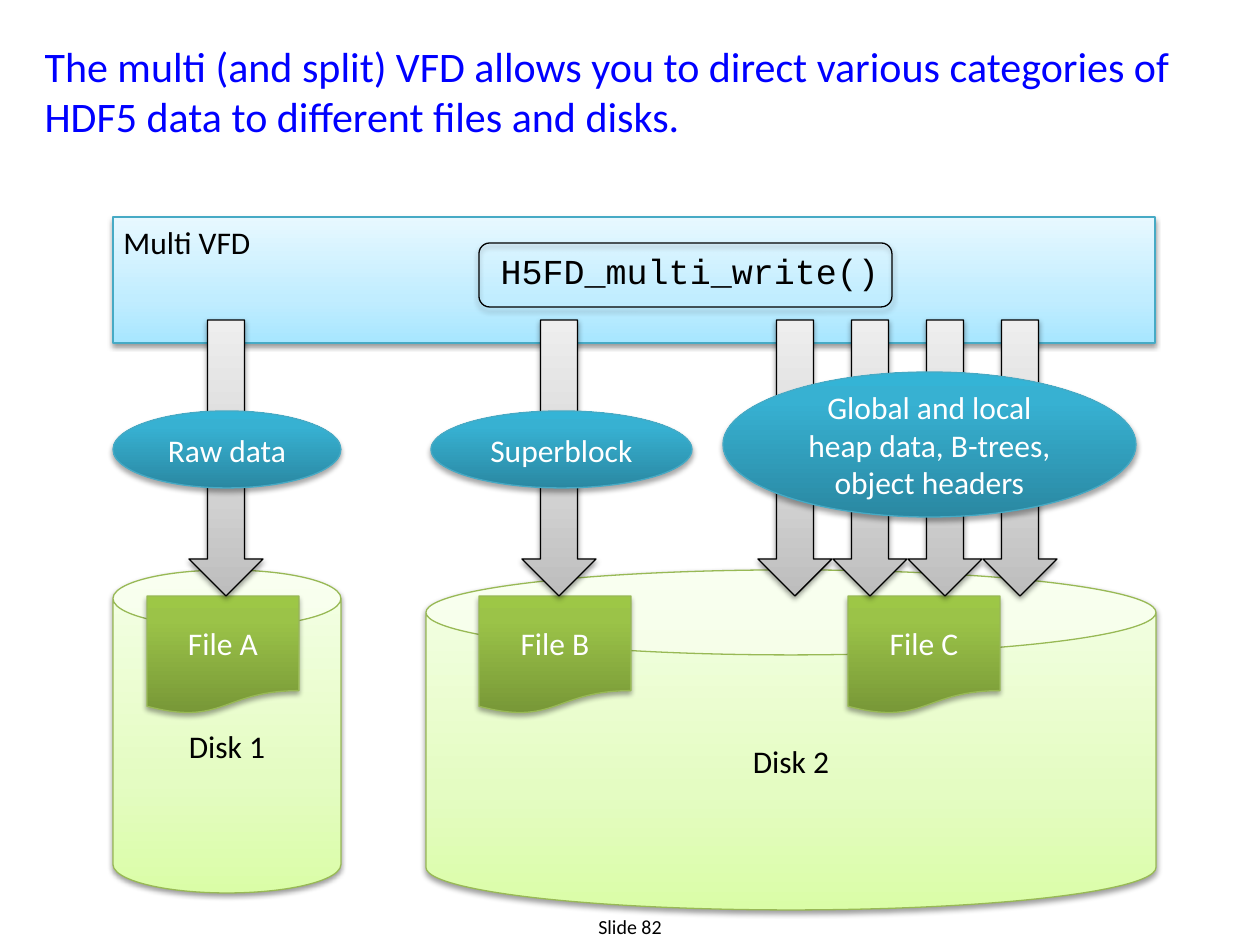
from copy import deepcopy

from lxml.etree import SubElement
from pptx import Presentation
from pptx.dml.color import RGBColor
from pptx.enum.shapes import MSO_SHAPE
from pptx.enum.text import MSO_ANCHOR, MSO_AUTO_SIZE, PP_ALIGN
from pptx.oxml.ns import qn
from pptx.util import Emu, Pt

PX = 914400 / 126
COLORS = {"title": "0000FF", "dark": "000000", "light": "FFFFFF",
          "green": "98B955", "blue": "46AAC5"}
# Stops run from the bottom of a shape to its top.
GRADIENTS = {
    "disk": ((0, "DAFDA7"), (35, "E4FCC2"), (100, "F5FFE7")),
    "driver": ((0, "A7E6FF"), (35, "C1EDFF"), (100, "E7F8FF")),
    "file": ((0, "779737"), (80, "9BC348"), (100, "9DC746")),
    "arrow": ((0, "BDBDBD"), (35, "D1D1D1"), (100, "EEEEEE")),
    "data": ((0, "2A88A2"), (80, "37B1D2"), (100, "34B4D6")),
}
ARROW_WIDTH = 75


def emu(*lengths):
    return [Emu(round(length * PX)) for length in lengths]


def rgb(name):
    return RGBColor.from_string(COLORS[name])


def fill_gradient(shape, stops):
    shape.fill.gradient()
    shape.fill.gradient_angle = 90
    first = shape.fill._fill._gradFill.find(qn("a:gsLst"))[0]
    first.addnext(deepcopy(first))
    for stop, (position, color) in zip(shape.fill.gradient_stops, stops):
        stop.position = position / 100
        stop.color.rgb = RGBColor.from_string(color)


def add_shadow(shape, alpha, distance):
    shape.shadow.inherit = False
    effects = shape._element.spPr.find(qn("a:effectLst"))
    shadow = SubElement(effects, qn("a:outerShdw"), blurRad=str(Pt(3.1)),
                        dist=str(Pt(distance)), dir="5400000", rotWithShape="0")
    color = SubElement(shadow, qn("a:srgbClr"), val=COLORS["dark"])
    SubElement(color, qn("a:alpha"), val=str(alpha * 1000))


def set_text(shape, text, size=18, color="dark", font="Calibri",
             align=PP_ALIGN.CENTER, anchor=MSO_ANCHOR.MIDDLE):
    frame = shape.text_frame
    frame.word_wrap = True
    frame.vertical_anchor = anchor
    para = frame.paragraphs[0]
    para.text = text
    para.alignment = align
    para.font.name = font
    para.font.size = Pt(size)
    para.font.color.rgb = rgb(color)
    return para


def add_block(page, kind, box, line, gradient=None, text=None, color="light",
              strong=False):
    shape = page.shapes.add_shape(kind, *emu(*box))
    if gradient:
        fill_gradient(shape, GRADIENTS[gradient])
    else:
        shape.fill.background()
    shape.line.color.rgb = rgb(line)
    shape.line.width = Pt(0.75)
    add_shadow(shape, *((35, 1.8) if strong else (38, 1.6)))
    if text:
        set_text(shape, text, color=color)


def add_label(page, box, text, **style):
    label = page.shapes.add_textbox(*emu(*box))
    return set_text(label, text, anchor=MSO_ANCHOR.TOP, **style)


def add_title(page, box, text):
    title = page.shapes.title
    title.left, title.top, title.width, title.height = emu(*box)
    set_text(title, text, size=24, color="title", align=PP_ALIGN.LEFT,
             anchor=MSO_ANCHOR.TOP)
    title.text_frame.auto_size = MSO_AUTO_SIZE.NONE


def add_driver(page, box, name, call):
    left, top, width, height = box
    add_block(page, MSO_SHAPE.RECTANGLE, box, "blue", "driver")
    add_label(page, (left - 2, top, 466, 50), name, align=PP_ALIGN.LEFT)
    add_label(page, (left + 344, top + 26, 466, 55), call, size=20,
              font="Courier New")
    add_block(page, MSO_SHAPE.ROUNDED_RECTANGLE,
              (left + 366, top + 26, 413, 64), "dark", strong=True)


def add_disk(page, box, name, files):
    """Draw a disk and its files, given as (offset from its left, name)."""
    left, top, width, height = box
    add_block(page, MSO_SHAPE.CAN, box, "green", "disk", name, "dark")
    for offset, file_name in files:
        add_block(page, MSO_SHAPE.FLOWCHART_DOCUMENT,
                  (left + offset, top + 26, 152, 118), "green", "file",
                  file_name, strong=True)


def add_flow(page, box, data, oval_top, oval_height, arrow_left, arrows=1):
    """Draw side-by-side arrows as tall as the box, under an oval naming the data."""
    left, top, width, height = box
    for index in range(arrows):
        arrow_x = left + arrow_left + index * ARROW_WIDTH
        add_block(page, MSO_SHAPE.DOWN_ARROW,
                  (arrow_x, top, ARROW_WIDTH - 1, height), "dark", "arrow")
    add_block(page, MSO_SHAPE.OVAL, (left, top + oval_top, width, oval_height),
              "blue", "data", data, strong=True)


def main():
    deck = Presentation()
    deck.slide_width, deck.slide_height = emu(1260, 945)
    page = deck.slides.add_slide(deck.slide_layouts[5])

    add_title(page, (32, 34, 1182, 115),
              "The multi (and split) VFD allows you to direct various "
              "categories of HDF5 data to different files and disks.")
    add_disk(page, (113, 570, 228, 323), "Disk 1", [(34, "File A")])
    add_disk(page, (426, 570, 730, 340), "Disk 2",
             [(53, "File B"), (422, "File C")])
    add_driver(page, (113, 217, 1042, 126), "Multi VFD", "H5FD_multi_write()")
    add_flow(page, (113, 320, 228, 276), "Raw data", 91, 77, 76)
    add_flow(page, (431, 320, 261, 276), "Superblock", 91, 77, 91)
    add_flow(page, (723, 320, 413, 276),
             "Global and local heap data, B-trees, object headers",
             52, 145, 35, arrows=4)
    number = add_label(page, (504, 913, 252, 32), "Slide 82", size=11.4)
    number.line_spacing = 0.8

    deck.save("out.pptx")


if __name__ == "__main__":
    main()
